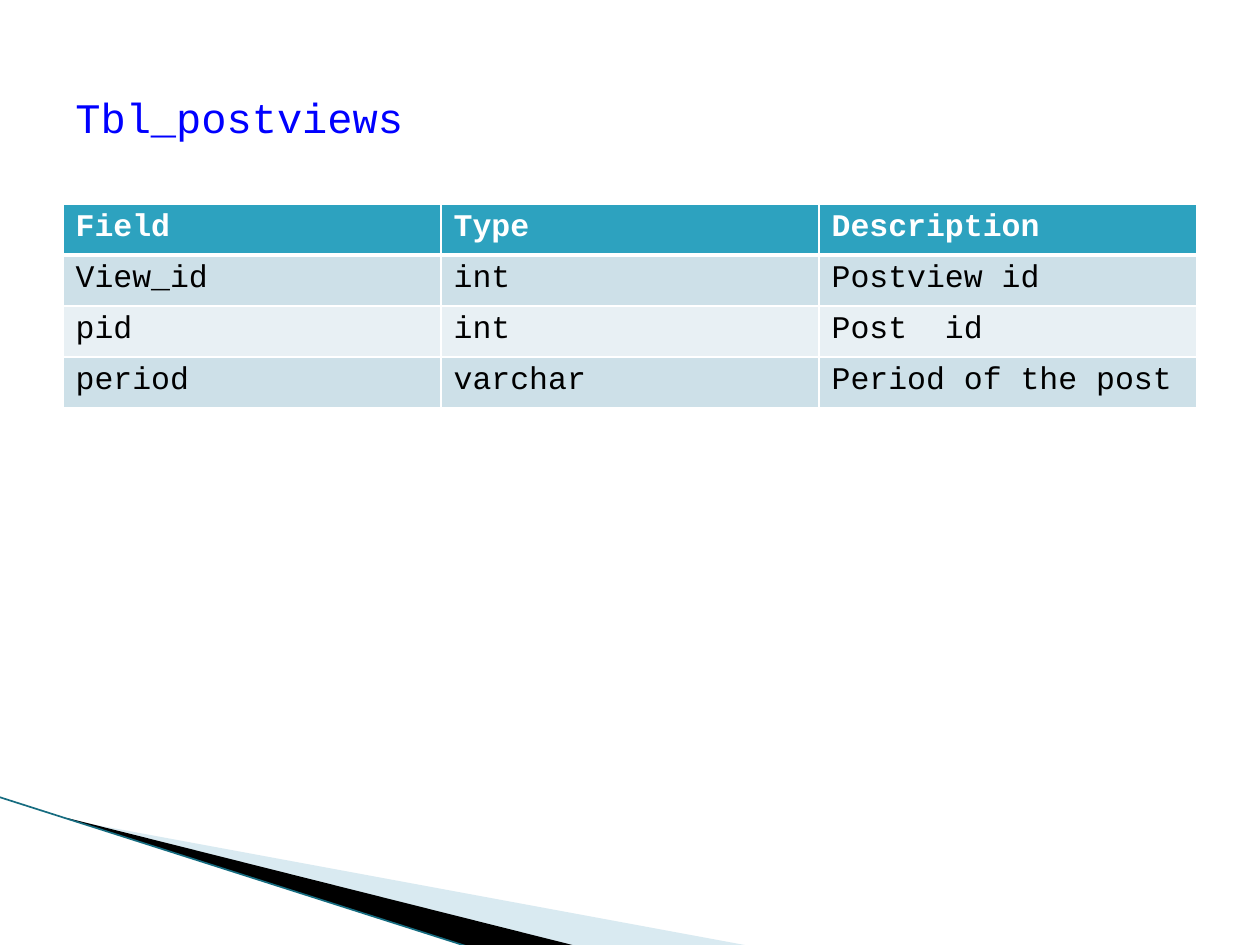
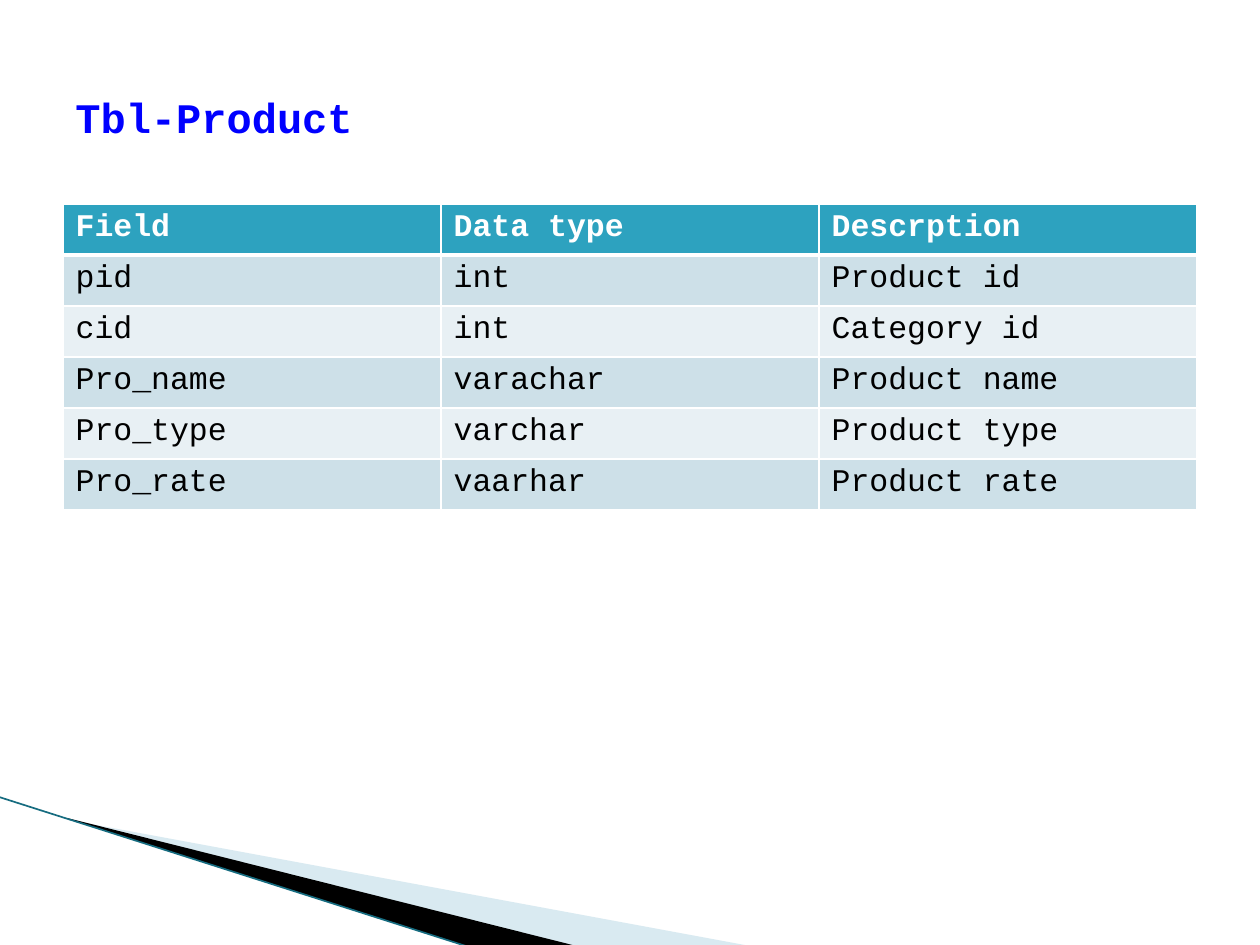
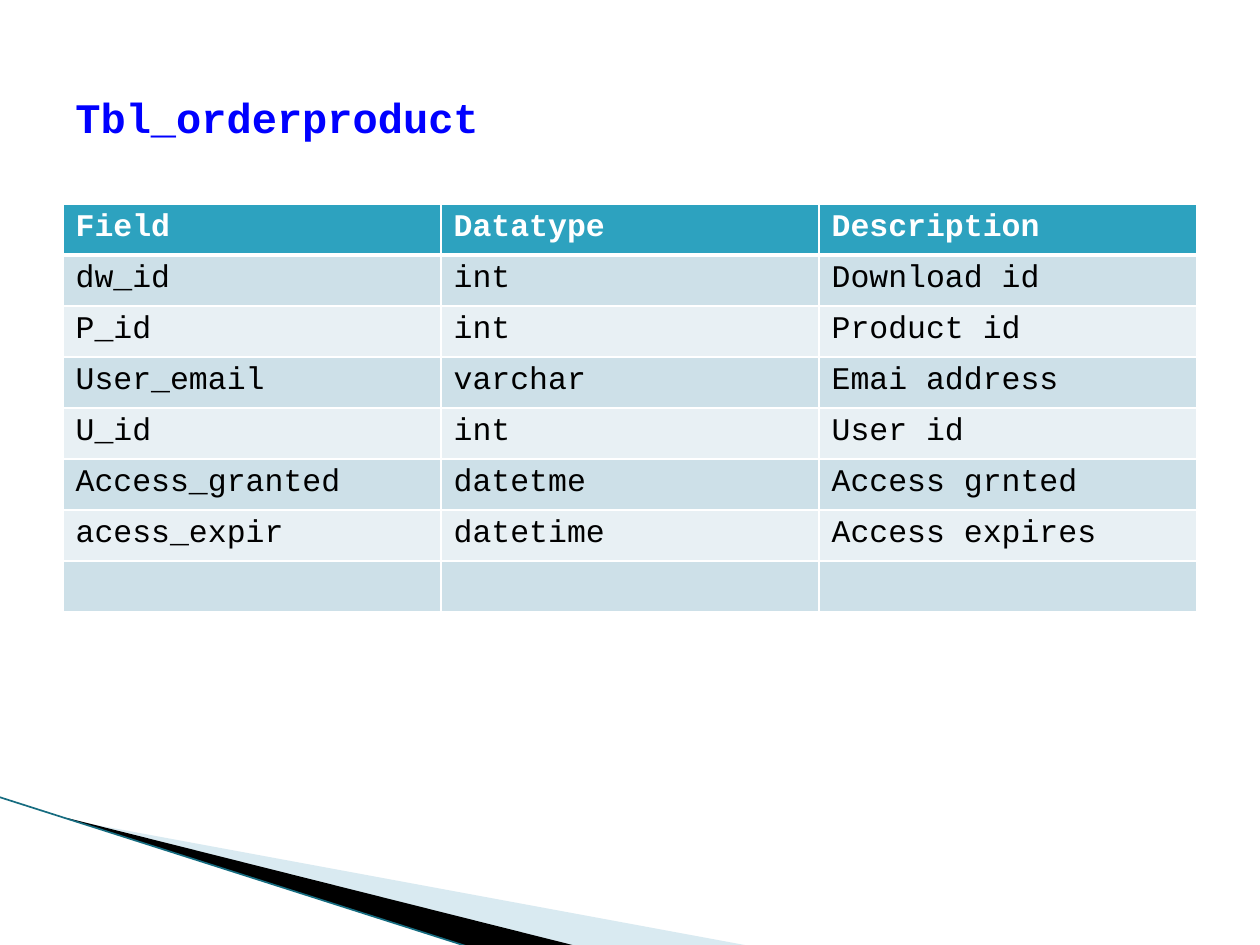
from lxml.etree import SubElement as Sub
from pptx import Presentation as Deck
from pptx.dml.color import RGBColor as Rgb
from pptx.enum.shapes import MSO_CONNECTOR as Link
from pptx.enum.text import MSO_ANCHOR as Anchor
from pptx.oxml.ns import qn
from pptx.util import Emu, Pt

SCALE = 914400 / 126
WIDE, HIGH = 1260, 945
LEFT, SPAN = 63, 1134
HEAD_TOP, HEAD_HIGH = 38, 158
GRID_TOP, ROW = 204, 51
BLANK = 6
FONT = "Courier New"

INK = {
    "white": "FFFFFF",
    "black": "000000",
    "blue": "0000FF",
    "teal": "2DA2BF",
    "dark": "CDE0E8",
    "light": "E8F0F4",
    "mist": "A0CBDC",
    "edge": "166C80",
}
HEAD = {"name": FONT, "size": Pt(24)}
CELL = {"name": FONT, "size": Pt(18)}

MIST = [(69, 820), (750, 946), (575, 946), (69, 819)]
WEDGE = [(67, 818), (576, 946), (469, 947), (68, 819)]
EDGE = [(-1, 797), (469, 947)]

PAGES = [
    ("Tbl_postviews", False, [
        ("Field", "Type", "Description"),
        ("View_id", "int", "Postview id"),
        ("pid", "int", "Post  id"),
        ("period", "varchar", "Period of the post"),
    ]),
    ("Tbl-Product", True, [
        ("Field", "Data type", "Descrption"),
        ("pid", "int", "Product id"),
        ("cid", "int", "Category id"),
        ("Pro_name", "varachar", "Product name"),
        ("Pro_type", "varchar", "Product type"),
        ("Pro_rate", "vaarhar", "Product rate"),
    ]),
    ("Tbl_orderproduct", True, [
        ("Field", "Datatype", "Description"),
        ("dw_id", "int", "Download id"),
        ("P_id", "int", "Product id"),
        ("User_email", "varchar", "Emai address"),
        ("U_id", "int", "User id"),
        ("Access_granted", "datetme", "Access grnted"),
        ("acess_expir", "datetime", "Access expires"),
        ("", "", ""),
    ]),
]


def px(*nums):
    return [Emu(round(num * SCALE)) for num in nums]


def tint(name):
    return Rgb.from_string(INK[name])


def style(font, form, ink, bold):
    for key, val in {**form, "bold": bold}.items():
        setattr(font, key, val)
    font.color.rgb = tint(ink)


def paint(fill, ink):
    fill.solid()
    fill.fore_color.rgb = tint(ink)


def wedge(slide, dots, ink, alpha=None):
    first, *rest = [px(*dot) for dot in dots]
    pen = slide.shapes.build_freeform(*first)
    pen.add_line_segments(rest, close=True)
    shape = pen.convert_to_shape()
    shape.shadow.inherit = False
    shape.line.fill.background()
    paint(shape.fill, ink)
    if alpha:
        color = shape.fill._xPr.find(".//" + qn("a:srgbClr"))
        Sub(color, qn("a:alpha"), val=str(alpha * 1000))


def stroke(slide, start, end, ink):
    line = slide.shapes.add_connector(Link.STRAIGHT, *px(*start, *end))
    line.line.width = Pt(0.95)
    line.line.color.rgb = tint(ink)
    Sub(line._element.spPr, qn("a:effectLst"))


def decor(slide):
    wedge(slide, MIST, "mist", 40)
    wedge(slide, WEDGE, "black")
    stroke(slide, *EDGE, "edge")


def title(slide, text, bold):
    box = slide.shapes.add_textbox(*px(LEFT, HEAD_TOP, SPAN, HEAD_HIGH))
    frame = box.text_frame
    frame.word_wrap = True
    frame.vertical_anchor = Anchor.MIDDLE
    frame.text = text
    style(frame.paragraphs[0].runs[0].font, HEAD, "blue", bold)


def frame(cell, row):
    thick = {"lnB": 0, "lnT": 1}
    for side in ("lnL", "lnR", "lnT", "lnB"):
        size = 3 if thick.get(side) == row else 1
        line = Sub(cell._tc.get_or_add_tcPr(), qn("a:" + side), w=str(Pt(size)))
        fill = Sub(line, qn("a:solidFill"))
        Sub(fill, qn("a:srgbClr"), val=INK["white"])


def grid(slide, rows):
    count = len(rows)
    area = px(LEFT, GRID_TOP, SPAN, ROW * count)
    table = slide.shapes.add_table(count, len(rows[0]), *area).table
    table.horz_banding = False
    for i, row in enumerate(rows):
        band = "teal" if i == 0 else ("light", "dark")[i % 2]
        for j, text in enumerate(row):
            cell = table.cell(i, j)
            frame(cell, i)
            paint(cell.fill, band)
            if text:
                cell.text = text
                font = cell.text_frame.paragraphs[0].runs[0].font
                style(font, CELL, "black" if i else "white", i == 0)


def main():
    deck = Deck()
    deck.slide_width, deck.slide_height = px(WIDE, HIGH)
    for name, bold, rows in PAGES:
        slide = deck.slides.add_slide(deck.slide_layouts[BLANK])
        decor(slide)
        grid(slide, rows)
        title(slide, name, bold)
    deck.save("out.pptx")


if __name__ == "__main__":
    main()
